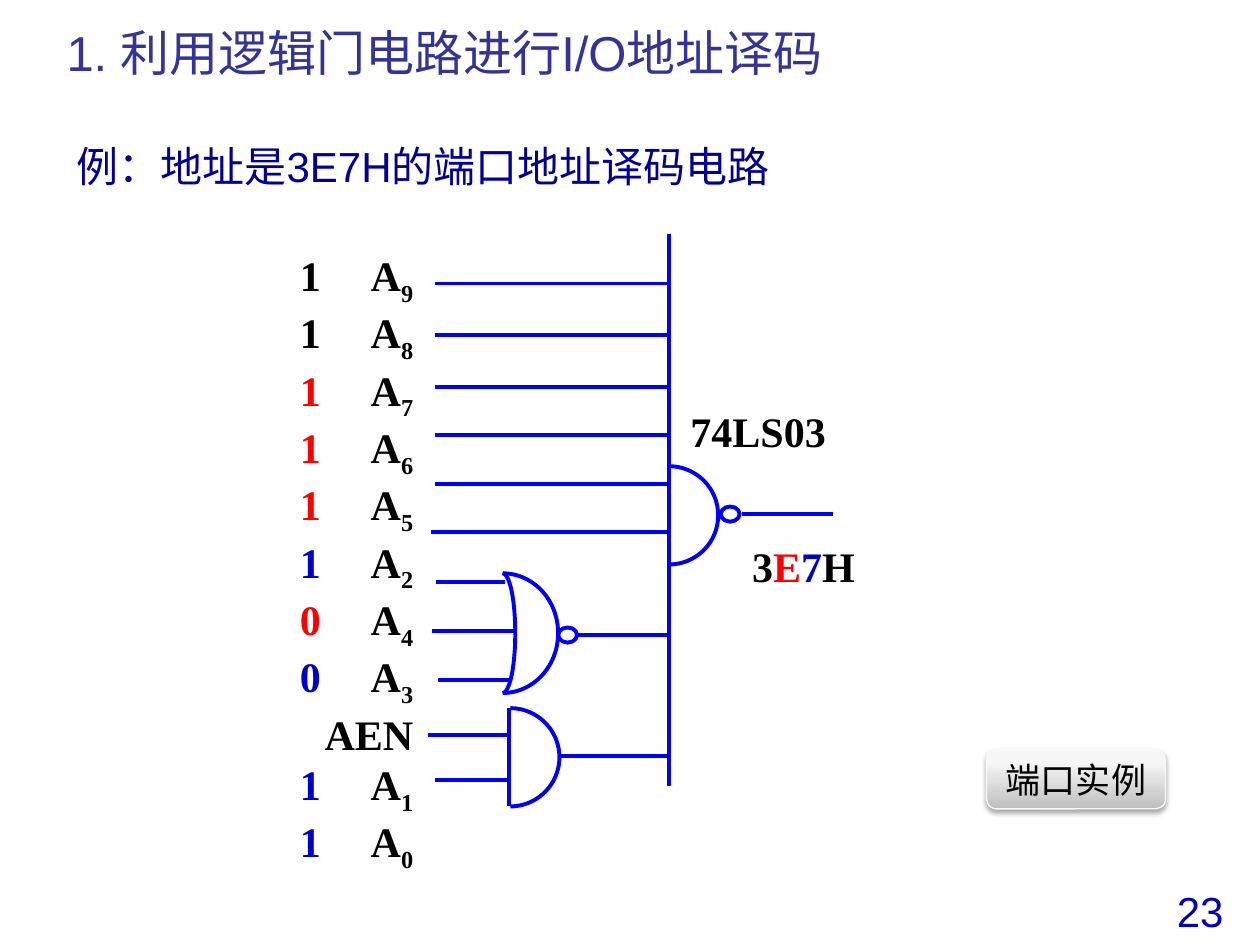
from typing import NamedTuple

from lxml import etree
from pptx import Presentation
from pptx import util as u
from pptx.dml import color
from pptx.enum import shapes, text
from pptx.oxml import ns

BLACK, RED, BLUE, WIRE = "000000", "FF0000", "0000CC", "0000FF"
SERIF, SANS = "Times New Roman", "Arial"


class Wire(NamedTuple):
    left: float
    top: float
    right: float
    bottom: float


class Arc(NamedTuple):
    center: float
    top: float
    radius: float
    height: float


class Bubble(NamedTuple):
    left: float
    top: float


class Signal(NamedTuple):
    bit: str
    bit_color: str
    name: str
    index: str


class Label(NamedTuple):
    left: float
    top: float
    width: float
    height: float
    runs: list
    size: int
    font: str
    bold: bool = False
    inset: bool = True
    align: text.PP_ALIGN = text.PP_ALIGN.LEFT


INPUT_WIRES = [Wire(3.45, y, 5.31, y) for y in (2.25, 2.66, 3.07, 3.45, 3.84)]
WIRES = INPUT_WIRES + [
    Wire(3.42, 4.22, 5.31, 4.22),
    Wire(3.46, 4.62, 4.01, 4.62),
    Wire(3.43, 5.01, 4.09, 5.01),
    Wire(3.48, 5.4, 4.04, 5.4),
    Wire(4.59, 5.04, 5.31, 5.04),
    Wire(3.4, 5.83, 4.04, 5.83),
    Wire(3.45, 6.19, 4.04, 6.19),
    Wire(4.45, 6, 5.31, 6),
    Wire(4.04, 5.62, 4.04, 6.4),
    Wire(5.31, 1.86, 5.31, 6.24),
    Wire(5.89, 4.08, 6.61, 4.08),
]
ARCS = [
    Arc(3.99, 4.55, 0.44, 0.95),
    Arc(3.99, 4.55, 0.1, 0.95),
    Arc(4.05, 5.62, 0.39, 0.78),
    Arc(5.31, 3.7, 0.39, 0.78),
]
BUBBLES = [Bubble(4.43, 4.98), Bubble(5.72, 4.02)]
SIGNALS = [
    Signal("1", BLACK, "A", "9"),
    Signal("1", BLACK, "A", "8"),
    Signal("1", RED, "A", "7"),
    Signal("1", RED, "A", "6"),
    Signal("1", RED, "A", "5"),
    Signal("1", BLUE, "A", "2"),
    Signal("0", RED, "A", "4"),
    Signal("0", BLUE, "A", "3"),
    Signal("", BLACK, "AEN", ""),
    Signal("1", BLUE, "A", "1"),
    Signal("1", BLUE, "A", "0"),
]
LABELS = [
    Label(0.43, 0.13, 8.43, 0.63, [("1. 利用逻辑门电路进行I/O地址译码", "333399")], 28, SANS),
    Label(0.51, 1.07, 8.35, 0.5, [("例：地址是3E7H的端口地址译码电路", "000099")], 24, SANS),
    Label(5.47, 3.21, 1.61, 0.69, [("74LS03", BLACK)], 24, SERIF, True, False),
    Label(5.96, 4.28, 1.33, 0.58, [("3", BLACK), ("E", RED), ("7", BLUE), ("H", BLACK)],
          24, SERIF, True, False),
    Label(9.17, 6.98, 0.71, 0.5, [("23", "0000BF")], 24, SANS, align=text.PP_ALIGN.CENTER),
]


def rgb(value: str) -> color.RGBColor:
    return color.RGBColor.from_string(value)


def outline(shape) -> None:
    shape.line.color.rgb = rgb(WIRE)
    shape.line.width = u.Pt(2.25)


def add_wire(slide, wire: Wire) -> None:
    connector = slide.shapes.add_connector(
        shapes.MSO_CONNECTOR.STRAIGHT, *(u.Inches(value) for value in wire))
    outline(connector)
    etree.SubElement(connector._element.spPr, ns.qn("a:effectLst"))


def add_outline(slide, kind, left: float, top: float, width: float, height: float):
    shape = slide.shapes.add_shape(
        kind, u.Inches(left), u.Inches(top), u.Inches(width), u.Inches(height))
    shape.shadow.inherit = False
    shape.fill.background()
    outline(shape)
    return shape


def add_arc(slide, arc: Arc) -> None:
    shape = add_outline(slide, shapes.MSO_SHAPE.ARC, arc.center - arc.radius, arc.top,
                        2 * arc.radius, arc.height)
    shape.adjustments[0] = 162
    shape.adjustments[1] = 54


def add_frame(slide, left: float, top: float, width: float, height: float, inset: bool):
    frame = slide.shapes.add_textbox(
        u.Inches(left), u.Inches(top), u.Inches(width), u.Inches(height)).text_frame
    frame.word_wrap = True
    if not inset:
        frame.margin_left = frame.margin_right = u.Inches(0.01)
        frame.margin_top = frame.margin_bottom = u.Inches(0.01)
    return frame


def set_font(paragraph, size: int, name: str, bold: bool) -> None:
    paragraph.font.size = u.Pt(size)
    paragraph.font.name = name
    paragraph.font.bold = bold


def add_run(paragraph, content: str, hex_color: str):
    run = paragraph.add_run()
    run.text = content
    run.font.color.rgb = rgb(hex_color)
    return run


def add_label(slide, label: Label) -> None:
    frame = add_frame(slide, label.left, label.top, label.width, label.height, label.inset)
    paragraph = frame.paragraphs[0]
    paragraph.alignment = label.align
    set_font(paragraph, label.size, label.font, label.bold)
    for content, hex_color in label.runs:
        add_run(paragraph, content, hex_color)


def add_signals(slide) -> None:
    frame = add_frame(slide, 2.37, 1.97, 1, 4.41, False)
    for row, signal in enumerate(SIGNALS):
        paragraph = frame.add_paragraph() if row else frame.paragraphs[0]
        tabs = etree.SubElement(paragraph._p.get_or_add_pPr(), ns.qn("a:tabLst"))
        etree.SubElement(tabs, ns.qn("a:tab"), pos=str(u.Inches(0.9)), algn="r")
        set_font(paragraph, 24, SERIF, True)
        if signal.bit:
            add_run(paragraph, signal.bit, signal.bit_color)
        add_run(paragraph, "\t" + signal.name, BLACK)
        if signal.index:
            index = add_run(paragraph, signal.index, BLACK)
            index.font._element.set("baseline", "-25000")


def add_button(slide) -> None:
    button = slide.shapes.add_shape(shapes.MSO_SHAPE.ROUNDED_RECTANGLE, u.Inches(7.83),
                                    u.Inches(5.95), u.Inches(1.42), u.Inches(0.47))
    button.fill.gradient()
    button.fill.gradient_angle = 90
    for stop, (position, hex_color) in zip(button.fill.gradient_stops,
                                           [(0, "BEBEBE"), (0.8, "F7F7F7")]):
        stop.position = position
        stop.color.rgb = rgb(hex_color)
    button.line.color.rgb = rgb("F9F9F9")
    button.line.width = u.Pt(0.75)
    effects = etree.SubElement(button._element.spPr, ns.qn("a:effectLst"))
    shadow = etree.SubElement(effects, ns.qn("a:outerShdw"), blurRad=str(u.Pt(3.1)),
                              dist=str(u.Pt(1.8)), dir="5400000", rotWithShape="0")
    tone = etree.SubElement(shadow, ns.qn("a:srgbClr"), val=BLACK)
    etree.SubElement(tone, ns.qn("a:alpha"), val="35000")
    frame = button.text_frame
    frame.word_wrap = False
    frame.vertical_anchor = text.MSO_ANCHOR.MIDDLE
    paragraph = frame.paragraphs[0]
    paragraph.alignment = text.PP_ALIGN.CENTER
    set_font(paragraph, 20, SANS, False)
    add_run(paragraph, "端口实例", BLACK)


def main() -> None:
    """Build the address decoding slide and save it."""
    presentation = Presentation()
    presentation.slide_width, presentation.slide_height = u.Inches(10), u.Inches(7.5)
    slide = presentation.slides.add_slide(presentation.slide_layouts[6])
    for label in LABELS:
        add_label(slide, label)
    add_signals(slide)
    for wire in WIRES:
        add_wire(slide, wire)
    for arc in ARCS:
        add_arc(slide, arc)
    for bubble in BUBBLES:
        add_outline(slide, shapes.MSO_SHAPE.OVAL, bubble.left, bubble.top, 0.15, 0.12)
    add_button(slide)


    presentation.save("out.pptx")


if __name__ == "__main__":
    main()
